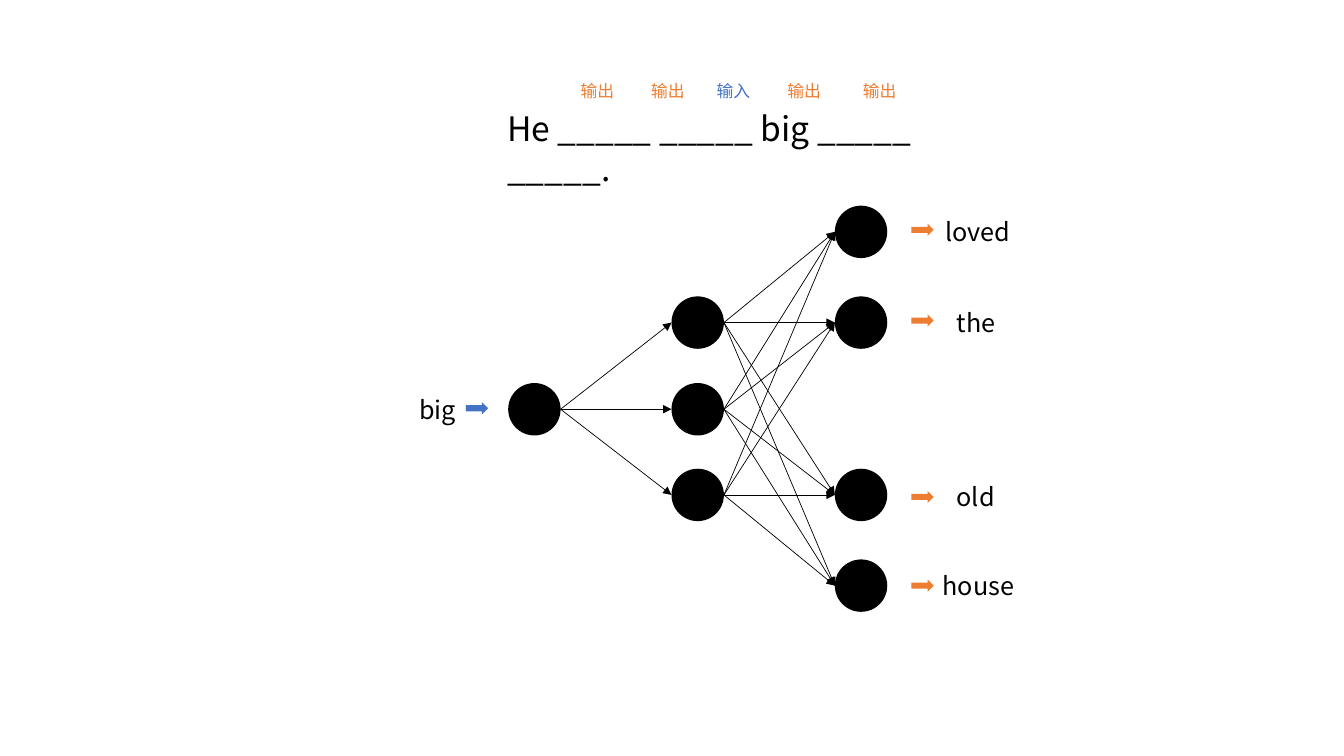
from itertools import product

from lxml.etree import SubElement
from pptx import Presentation
from pptx.dml.color import RGBColor
from pptx.enum.shapes import MSO_CONNECTOR, MSO_SHAPE
from pptx.enum.text import MSO_ANCHOR, MSO_AUTO_SIZE, PP_ALIGN
from pptx.oxml.ns import qn
from pptx.util import Inches, Pt

BLACK = RGBColor(0x00, 0x00, 0x00)
ORANGE = RGBColor(0xED, 0x7D, 0x31)
BLUE = RGBColor(0x44, 0x72, 0xC4)
FONT = "Noto Sans CJK SC"

NODE_SIZE = 0.52
ARROW_WIDTH, ARROW_HEIGHT = 0.22, 0.12

# Left edge of each layer and the centre heights of its neurons
INPUT_X, INPUT_YS = 5.04, [4.06]
HIDDEN_X, HIDDEN_YS = 6.66, [3.2, 4.06, 4.91]
OUTPUT_X, OUTPUT_YS = 8.28, [2.3, 3.2, 4.91, 5.81]

# Word, left, top, top of its arrow
PREDICTIONS = [
    ("loved", 9.28, 2.1, 2.22),
    ("the", 9.39, 3.0, 3.12),
    ("old", 9.39, 4.73, 4.87),
    ("house", 9.25, 5.61, 5.75),
]
# Label, left, top, colour
ROLES = [
    ("输出", 5.66, 0.75, ORANGE),
    ("输出", 6.36, 0.75, ORANGE),
    ("输入", 7.01, 0.75, BLUE),
    ("输出", 7.71, 0.75, ORANGE),
    ("输出", 8.46, 0.75, ORANGE),
]


def write_text(frame, text, size=18, color=BLACK):
    """Fill a text frame with one left-aligned, formatted paragraph."""
    frame.word_wrap = True
    frame.auto_size = MSO_AUTO_SIZE.NONE
    frame.vertical_anchor = MSO_ANCHOR.TOP
    paragraph = frame.paragraphs[0]
    paragraph.alignment = PP_ALIGN.LEFT
    run = paragraph.add_run()
    run.text = text
    run.font.size = Pt(size)
    run.font.color.rgb = color
    run.font.name = FONT
    SubElement(run.font._element, qn("a:ea"), typeface=FONT)


def add_sentence(slide, text):
    """Place the sentence with blanks in the title placeholder."""
    sentence = slide.shapes.title
    sentence.left, sentence.top = Inches(4.93), Inches(1.02)
    sentence.width, sentence.height = Inches(4.53), Inches(0.5)
    write_text(sentence.text_frame, text, size=24)


def add_label(slide, text, left, top, width, height=0.4, **text_format):
    """Add a text box."""
    label = slide.shapes.add_textbox(
        Inches(left), Inches(top), Inches(width), Inches(height))
    write_text(label.text_frame, text, **text_format)


def add_solid(slide, preset, left, top, width, height, color):
    """Add a plain filled shape without outline or shadow."""
    solid = slide.shapes.add_shape(
        preset, Inches(left), Inches(top), Inches(width), Inches(height))
    solid.shadow.inherit = False
    solid.fill.solid()
    solid.fill.fore_color.rgb = color
    solid.line.fill.background()


def add_layer(slide, left, centers):
    """Add one column of neurons."""
    for center in centers:
        add_solid(slide, MSO_SHAPE.OVAL, left, center - NODE_SIZE / 2,
                  NODE_SIZE, NODE_SIZE, BLACK)


def add_flow_arrow(slide, left, top, color):
    """Add a small block arrow between a word and a neuron."""
    add_solid(slide, MSO_SHAPE.RIGHT_ARROW, left, top,
              ARROW_WIDTH, ARROW_HEIGHT, color)


def connect_layers(slide, from_x, from_ys, to_x, to_ys):
    """Draw an arrow from every neuron of one layer to every one of the next."""
    for start_y, end_y in product(from_ys, to_ys):
        link = slide.shapes.add_connector(
            MSO_CONNECTOR.STRAIGHT, Inches(from_x + NODE_SIZE),
            Inches(start_y), Inches(to_x), Inches(end_y))
        link.line.color.rgb = BLACK
        link.line.width = Pt(0.5)
        SubElement(link.line._get_or_add_ln(), qn("a:tailEnd"), type="triangle")
        SubElement(link._element.spPr, qn("a:effectLst"))


def main():
    """Build the slide and save it."""
    deck = Presentation()
    deck.slide_width, deck.slide_height = Inches(13.33), Inches(7.5)
    slide = deck.slides.add_slide(deck.slide_layouts.get_by_name("Title Only"))

    add_sentence(slide, "He _____ _____ big _____ _____.")
    for role, left, top, color in ROLES:
        add_label(slide, role, left, top, 0.55, 0.3, size=12, color=color)

    add_layer(slide, INPUT_X, INPUT_YS)
    add_layer(slide, HIDDEN_X, HIDDEN_YS)
    add_layer(slide, OUTPUT_X, OUTPUT_YS)

    add_label(slide, "big", 4.06, 3.86, 0.62)
    add_flow_arrow(slide, 4.62, 3.99, BLUE)
    for word, left, top, arrow_top in PREDICTIONS:
        add_label(slide, word, left, top, 0.92)
        add_flow_arrow(slide, 9.04, arrow_top, ORANGE)

    connect_layers(slide, INPUT_X, INPUT_YS, HIDDEN_X, HIDDEN_YS)
    connect_layers(slide, HIDDEN_X, HIDDEN_YS, OUTPUT_X, OUTPUT_YS)

    deck.save("out.pptx")


main()
